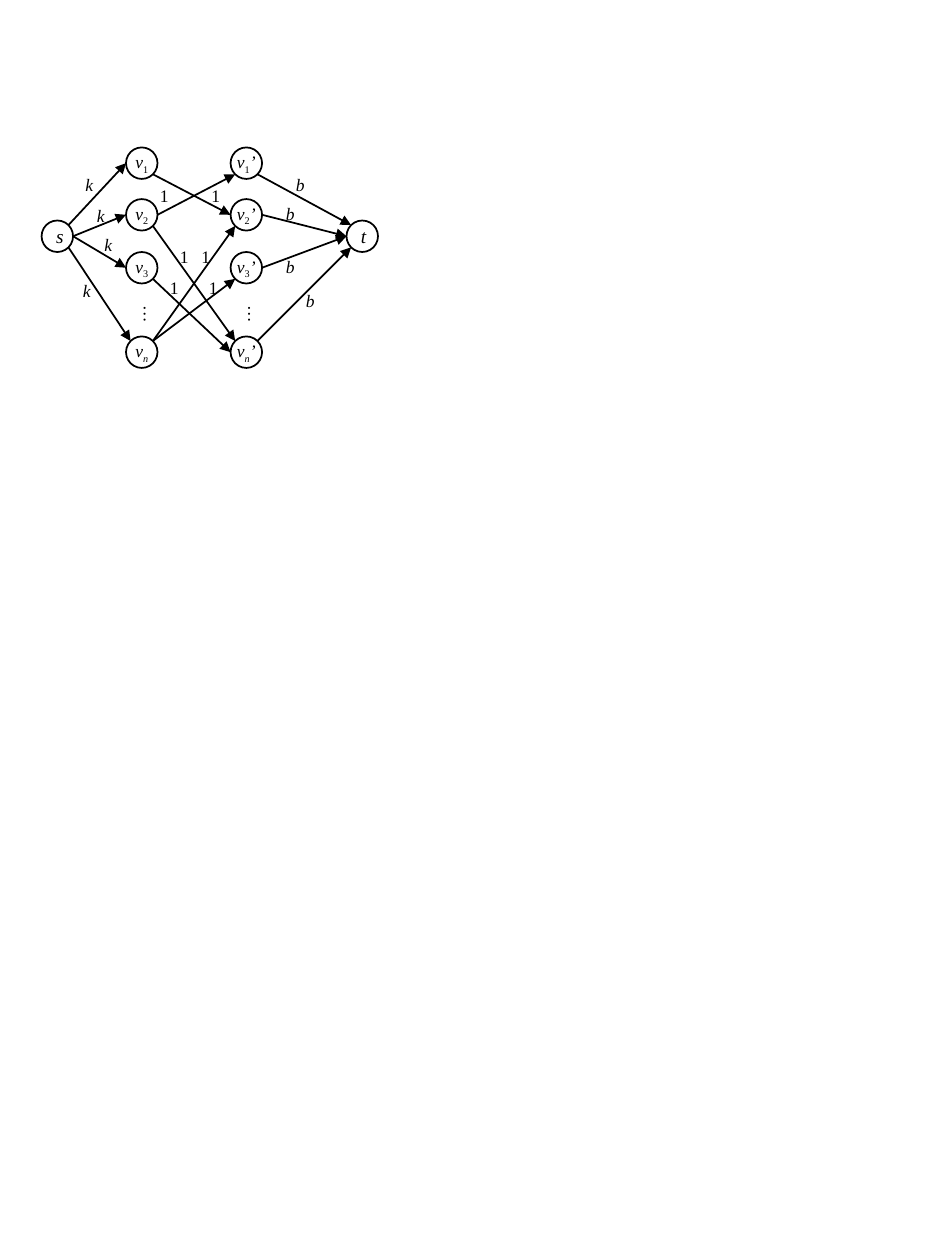
import math

import lxml.etree
import pptx
import pptx.dml.color
import pptx.enum.shapes
import pptx.enum.text
import pptx.oxml.ns
import pptx.util

Inches = pptx.util.Inches
BLACK = pptx.dml.color.RGBColor(0, 0, 0)
FONT = "Times New Roman"
NODE_SIZE = 0.25
LABEL_SIZE = 0.27
COLUMNS = {"s": 0, "v": 0.67, "v’": 1.5, "t": 2.42}
ROWS = {"1": 0, "2": 0.41, "3": 0.83, "n": 1.5}
TERMINAL_TOP = 0.58

# Each edge: start node, angle where it leaves, end node, angle where it arrives
# (degrees clockwise from the right-hand side of the circle)
EDGES = [
    ("s", -45, "v1", 180), ("s", 0, "v2", 180),
    ("s", 0, "v3", 180), ("s", 45, "vn", 225),
    ("v1", 45, "v2’", 180), ("v2", 0, "v1’", 135),
    ("v2", 45, "vn’", 225), ("v3", 45, "vn’", 180),
    ("vn", -45, "v3’", 135), ("vn", -45, "v2’", 135),
    ("v1’", 45, "t", 225), ("v2’", 0, "t", 180),
    ("v3’", 0, "t", 180), ("vn’", -45, "t", 135),
]

# Capacities and the corners of their boxes
CAPACITIES = {
    "k": [(0.25, 0.16), (0.34, 0.41), (0.4, 0.64), (0.23, 1)],
    "1": [(0.84, 0.25), (1.25, 0.25), (1, 0.73), (1.17, 0.73),
          (0.92, 0.98), (1.23, 0.98)],
    "b": [(1.92, 0.16), (1.84, 0.39), (1.84, 0.81), (2, 1.08)],
}


def add_text(para, text, size=10, italic=False, baseline=0):
    span = para.add_run()
    span.text = text
    span.font.name = FONT
    span.font.size = pptx.util.Pt(size)
    span.font.italic = italic
    span.font.color.rgb = BLACK
    if baseline:
        span.font._element.set("baseline", str(baseline * 1000))


def add_node(page, left, top, letter, index="", prime="", size=10):
    node = page.shapes.add_shape(
        pptx.enum.shapes.MSO_SHAPE.OVAL, Inches(left), Inches(top),
        Inches(NODE_SIZE), Inches(NODE_SIZE))
    node.shadow.inherit = False
    node.fill.background()
    node.line.color.rgb = BLACK
    node.line.width = pptx.util.Pt(1)
    frame = node.text_frame
    frame.word_wrap = not index
    frame.vertical_anchor = pptx.enum.text.MSO_ANCHOR.MIDDLE
    para = frame.paragraphs[0]
    para.alignment = pptx.enum.text.PP_ALIGN.CENTER
    add_text(para, letter, size=size, italic=True)
    if index:
        add_text(para, index, italic=index == "n", baseline=-25)
    if prime:
        add_text(para, prime, italic=True)


def add_label(page, left, top, text, width=LABEL_SIZE, height=LABEL_SIZE,
              italic=False, vertical=False):
    box = page.shapes.add_textbox(
        Inches(left), Inches(top), Inches(width), Inches(height))
    frame = box.text_frame
    frame.word_wrap = False
    frame.auto_size = pptx.enum.text.MSO_AUTO_SIZE.SHAPE_TO_FIT_TEXT
    if vertical:
        frame._element.bodyPr.set("vert", "eaVert")
    add_text(frame.paragraphs[0], text, italic=italic)


def rim_point(corner, angle):
    radius = NODE_SIZE / 2
    turn = math.radians(angle)
    return (Inches(corner[0] + radius + radius * math.cos(turn)),
            Inches(corner[1] + radius + radius * math.sin(turn)))


def add_arrow(page, start, end):
    arrow = page.shapes.add_connector(
        pptx.enum.shapes.MSO_CONNECTOR.STRAIGHT, *start, *end)
    arrow.line.color.rgb = BLACK
    arrow.line.width = pptx.util.Pt(1)
    qn = pptx.oxml.ns.qn
    tip = lxml.etree.SubElement(arrow.line._get_or_add_ln(), qn("a:tailEnd"))
    tip.set("type", "triangle")
    lxml.etree.SubElement(arrow._element.spPr, qn("a:effectLst"))


def add_network(page, left, top):
    # Source and sink
    corners = {}
    for name in ("s", "t"):
        corners[name] = (left + COLUMNS[name], top + TERMINAL_TOP)
        add_node(page, *corners[name], name, size=11)

    # Two columns of vertices, each with dots above the last one
    for prime in ("", "’"):
        column = left + COLUMNS["v" + prime]
        for index, row in ROWS.items():
            corner = (column, top + row)
            corners["v" + index + prime] = corner
            add_node(page, *corner, "v", index, prime)
        add_label(page, column - 0.04, top + 1.16, "…",
                  width=0.37, height=0.24, vertical=True)

    # Edges
    for start, leaving, end, arriving in EDGES:
        add_arrow(page, rim_point(corners[start], leaving),
                  rim_point(corners[end], arriving))

    # Edge capacities
    for text, places in CAPACITIES.items():
        for x, y in places:
            add_label(page, left + x, top + y, text, italic=text.isalpha())


deck = pptx.Presentation()
deck.slide_width = Inches(7.5)
deck.slide_height = Inches(10)
page = deck.slides.add_slide(deck.slide_layouts[6])
add_network(page, left=0.33, top=1.17)
deck.save("out.pptx")
